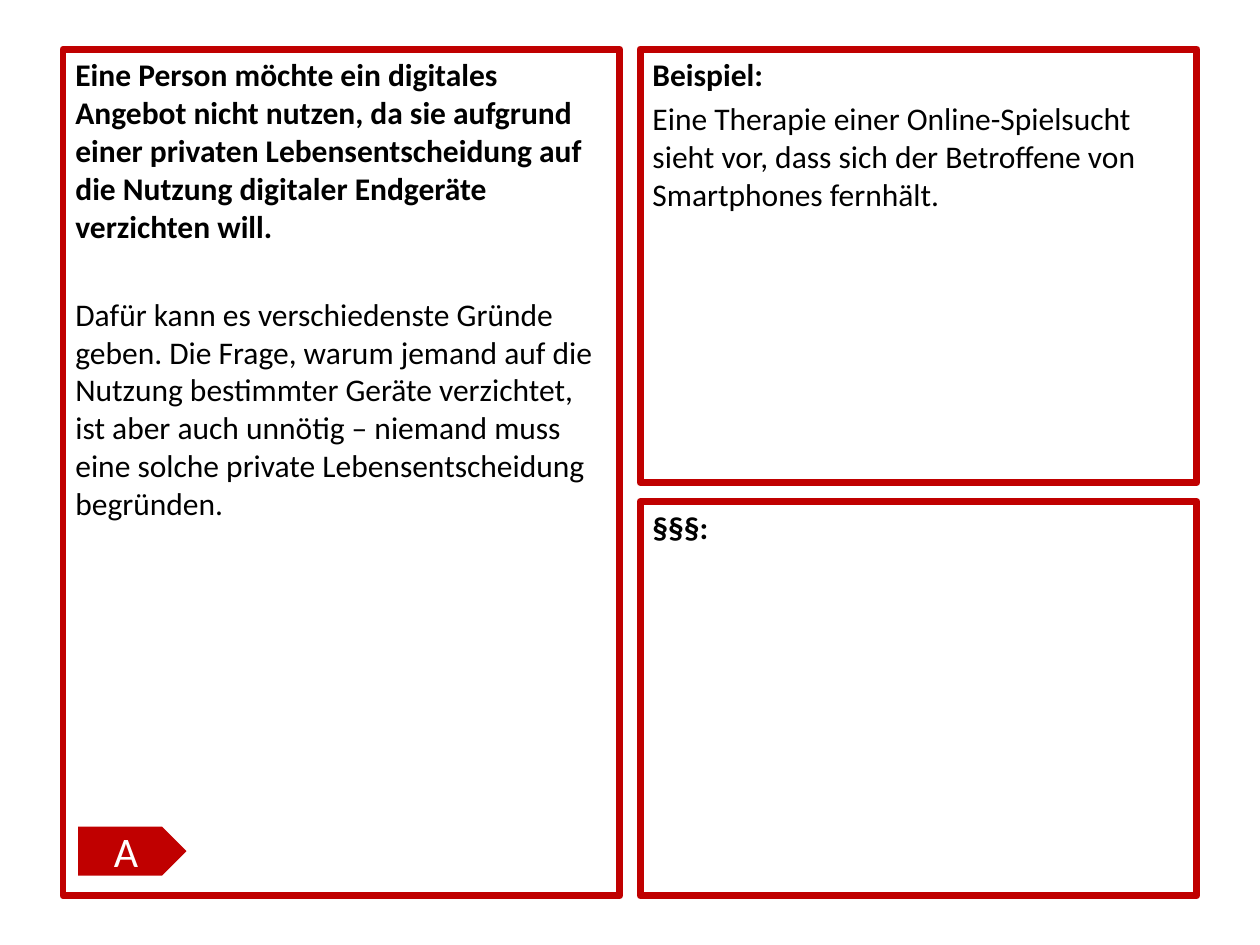
from pptx import Presentation
from pptx.dml.color import RGBColor
from pptx.enum.shapes import MSO_SHAPE
from pptx.enum.text import MSO_ANCHOR, PP_ALIGN
from pptx.util import Inches, Pt

RED = RGBColor(0xC0, 0x00, 0x00)
BLACK = RGBColor(0x00, 0x00, 0x00)
WHITE = RGBColor(0xFF, 0xFF, 0xFF)

LEFT, TOP, BOTTOM = 0.5, 0.39, 7.11
PANEL_WIDTH, GAP = 4.42, 0.16
EXAMPLE_HEIGHT = 3.44
RIGHT = LEFT + PANEL_WIDTH + GAP
LAW_TOP = TOP + EXAMPLE_HEIGHT + 0.15

SITUATION = (
    "Eine Person möchte ein digitales Angebot nicht nutzen, da sie aufgrund "
    "einer privaten Lebensentscheidung auf die Nutzung digitaler Endgeräte "
    "verzichten will."
)
EXPLANATION = (
    "Dafür kann es verschiedenste Gründe geben. Die Frage, warum jemand auf "
    "die Nutzung bestimmter Geräte verzichtet, ist aber auch unnötig – niemand "
    "muss eine solche private Lebensentscheidung begründen."
)
EXAMPLE = (
    "Eine Therapie einer Online-Spielsucht sieht vor, dass sich der Betroffene "
    "von Smartphones fernhält."
)


def write_text(paragraph, text, **formats):
    run = paragraph.add_run()
    run.text = text
    color = formats.pop("color")
    for name, value in {"name": "Calibri", **formats}.items():
        setattr(run.font, name, value)
    run.font.color.rgb = color


def add_panel(slide, left, top, height, heading, body=None, space_before=3.6):
    panel = slide.shapes.add_textbox(
        Inches(left), Inches(top), Inches(PANEL_WIDTH), Inches(height)
    )
    panel.line.color.rgb = RED
    panel.line.width = Pt(4)
    frame = panel.text_frame
    frame.word_wrap = True
    write_text(frame.paragraphs[0], heading, size=Pt(18), bold=True, color=BLACK)
    if body:
        paragraph = frame.add_paragraph()
        paragraph.space_before = Pt(space_before)
        write_text(paragraph, body, size=Pt(18), bold=False, color=BLACK)


def add_tag(slide, left, top, width, height, text):
    tag = slide.shapes.add_shape(
        MSO_SHAPE.PENTAGON, Inches(left), Inches(top), Inches(width), Inches(height)
    )
    tag.shadow.inherit = False
    tag.fill.solid()
    tag.fill.fore_color.rgb = RED
    tag.line.fill.background()
    tag.text_frame.vertical_anchor = MSO_ANCHOR.MIDDLE
    paragraph = tag.text_frame.paragraphs[0]
    paragraph.alignment = PP_ALIGN.CENTER
    write_text(paragraph, text, size=Pt(24), color=WHITE)


def main():
    presentation = Presentation()
    presentation.slide_width = Inches(10)
    presentation.slide_height = Inches(7.5)
    slide = presentation.slides.add_slide(presentation.slide_layouts[6])

    add_panel(slide, LEFT, TOP, BOTTOM - TOP, SITUATION, EXPLANATION, 28.8)
    add_panel(slide, RIGHT, LAW_TOP, BOTTOM - LAW_TOP, "§§§:")
    add_panel(slide, RIGHT, TOP, EXAMPLE_HEIGHT, "Beispiel:", EXAMPLE)
    add_tag(slide, 0.62, 6.56, 0.86, 0.39, "A")

    presentation.save("out.pptx")


if __name__ == "__main__":
    main()
